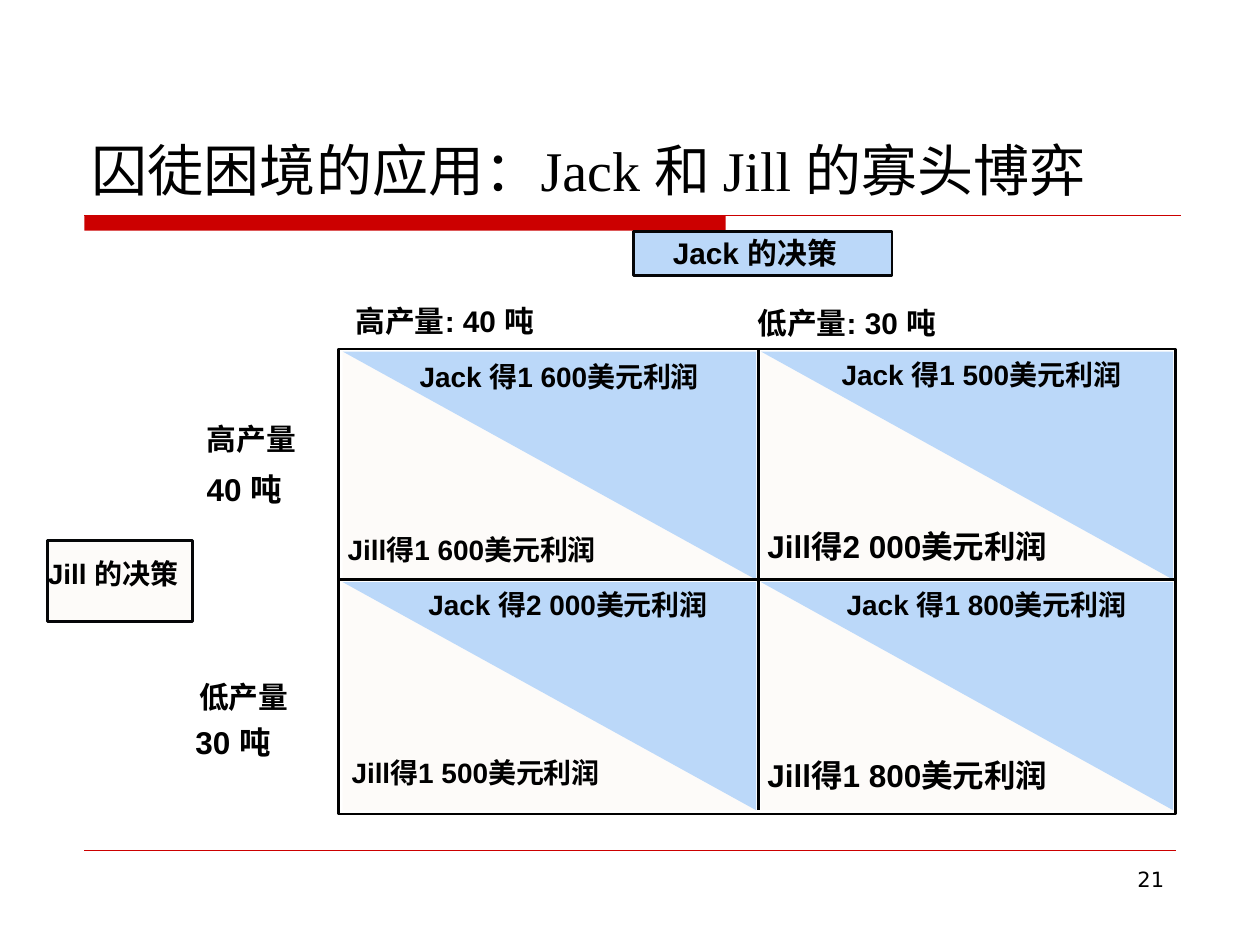
from lxml.etree import SubElement
from pptx import Presentation
from pptx.dml.color import RGBColor
from pptx.enum.shapes import MSO_CONNECTOR, MSO_SHAPE
from pptx.enum.text import MSO_ANCHOR, MSO_AUTO_SIZE, PP_ALIGN
from pptx.oxml.ns import qn
from pptx.util import Inches, Pt

BLACK = RGBColor(0x00, 0x00, 0x00)
INK = RGBColor(0x05, 0x06, 0x08)
RED = RGBColor(0xCC, 0x00, 0x00)
BLUE = RGBColor(0xBB, 0xD8, 0xF9)
CREAM = RGBColor(0xFD, 0xFB, 0xF9)

TITLE = "囚徒困境的应用：Jack 和 Jill 的寡头博弈"
PAGE = "21"

# left, top, width, height, fill
PLAYER_BOXES = [
    (5.03, 1.84, 2.05, 0.35, BLUE),
    (0.38, 4.29, 1.15, 0.64, CREAM),
]
# text, left, top, width, height, size
LABELS = [
    ("Jack 的决策", 5.34, 1.86, 1.50, 0.28, 17),
    ("Jill 的决策", 0.38, 4.42, 1.25, 0.27, 16),
    ("高产量: 40 吨", 2.82, 2.40, 1.75, 0.28, 17),
    ("低产量: 30 吨", 6.01, 2.42, 1.75, 0.28, 17),
    ("高产量", 1.64, 3.34, 0.90, 0.28, 17),
    ("40 吨", 1.64, 3.73, 0.98, 0.30, 18),
    ("低产量", 1.58, 5.39, 0.90, 0.28, 17),
    ("30 吨", 1.55, 5.74, 0.98, 0.30, 18),
    ("Jack 得1 600美元利润", 3.33, 2.85, 2.60, 0.27, 16),
    ("Jill得1 600美元利润", 2.76, 4.23, 2.40, 0.27, 16),
    ("Jack 得1 500美元利润", 6.68, 2.84, 2.60, 0.27, 16),
    ("Jill得2 000美元利润", 6.09, 4.18, 2.70, 0.30, 18),
    ("Jack 得2 000美元利润", 3.40, 4.66, 2.60, 0.27, 16),
    ("Jill得1 500美元利润", 2.79, 6.00, 2.40, 0.27, 16),
    ("Jack 得1 800美元利润", 6.72, 4.66, 2.60, 0.27, 16),
    ("Jill得1 800美元利润", 6.09, 6.00, 2.70, 0.30, 18),
]
# Payoff matrix: outer frame, inner dividers, and the spans of its cells
LEFT, TOP, WIDTH, HEIGHT = 2.69, 2.77, 6.64, 3.69
MID_X, MID_Y = 6.02, 4.60
COLUMNS = [(2.72, 6.00), (6.04, 9.31)]
ROWS = [(2.79, 4.60), (4.62, 6.43)]
FRAME_PT = 1.62


def paint(sp, fill=None, line=None, weight=FRAME_PT):
    sp.shadow.inherit = False
    if fill is None:
        sp.fill.background()
    else:
        sp.fill.solid()
        sp.fill.fore_color.rgb = fill
    if line is None:
        sp.line.fill.background()
    else:
        sp.line.color.rgb = line
        sp.line.width = Pt(weight)


def add_box(s, x, y, w, h, **colors):
    sp = s.shapes.add_shape(MSO_SHAPE.RECTANGLE, Inches(x), Inches(y), Inches(w), Inches(h))
    paint(sp, **colors)


def add_triangle(s, corners, fill):
    points = [(Inches(x), Inches(y)) for x, y in corners]
    builder = s.shapes.build_freeform(*points[0])
    builder.add_line_segments(points[1:], close=True)
    paint(builder.convert_to_shape(), fill)


def add_line(s, x1, y1, x2, y2, color, weight):
    line = s.shapes.add_connector(
        MSO_CONNECTOR.STRAIGHT, Inches(x1), Inches(y1), Inches(x2), Inches(y2))
    line.line.color.rgb = color
    line.line.width = Pt(weight)
    SubElement(line._element.spPr, qn("a:effectLst"))


def write(tf, text, align=PP_ALIGN.LEFT, **font):
    p = tf.paragraphs[0]
    p.alignment = align
    r = p.add_run()
    r.text = text
    r.font.color.rgb = BLACK
    for name, value in font.items():
        setattr(r.font, name, value)


def add_text(s, text, x, y, w, h, align=PP_ALIGN.LEFT, **font):
    tf = s.shapes.add_textbox(Inches(x), Inches(y), Inches(w), Inches(h)).text_frame
    frame = dict(margin_left=0, margin_top=0, margin_right=0, margin_bottom=0,
                 word_wrap=True, auto_size=MSO_AUTO_SIZE.NONE)
    for name, value in frame.items():
        setattr(tf, name, value)
    write(tf, text, align, **font)


def main():
    prs = Presentation()
    prs.slide_width, prs.slide_height = Inches(10), Inches(7.5)
    s = prs.slides.add_slide(prs.slide_layouts[5])

    title = s.shapes.title
    title.left, title.top = Inches(0.63), Inches(0.33)
    title.width, title.height = Inches(8.75), Inches(1.33)
    title.text_frame.vertical_anchor = MSO_ANCHOR.BOTTOM
    title.text_frame.auto_size = MSO_AUTO_SIZE.NONE
    write(title.text_frame, TITLE, size=Pt(32), name="Times New Roman")

    add_box(s, 0.67, 1.71, 5.09, 0.12, fill=RED)
    add_line(s, 0.67, 1.71, 9.37, 1.71, RED, 1)
    add_line(s, 0.67, 6.75, 9.33, 6.75, RED, 0.25)
    add_text(s, PAGE, 7.27, 6.88, 1.97, 0.42, PP_ALIGN.RIGHT, size=Pt(12), name="DejaVu Sans")

    for x1, x2 in COLUMNS:
        for y1, y2 in ROWS:
            add_triangle(s, [(x2, y2), (x1, y2), (x1, y1)], CREAM)
            add_triangle(s, [(x1, y1), (x2, y1), (x2, y2)], BLUE)

    for *place, fill in PLAYER_BOXES:
        add_box(s, *place, fill=fill, line=INK)
    for text, *place, size in LABELS:
        add_text(s, text, *place, size=Pt(size), name="Arial", bold=True)

    add_box(s, LEFT, TOP, WIDTH, HEIGHT, line=BLACK)
    add_line(s, MID_X, TOP, MID_X, ROWS[-1][1], BLACK, FRAME_PT)
    add_line(s, LEFT, MID_Y, LEFT + WIDTH, MID_Y, BLACK, FRAME_PT)

    prs.save("out.pptx")


if __name__ == "__main__":
    main()
